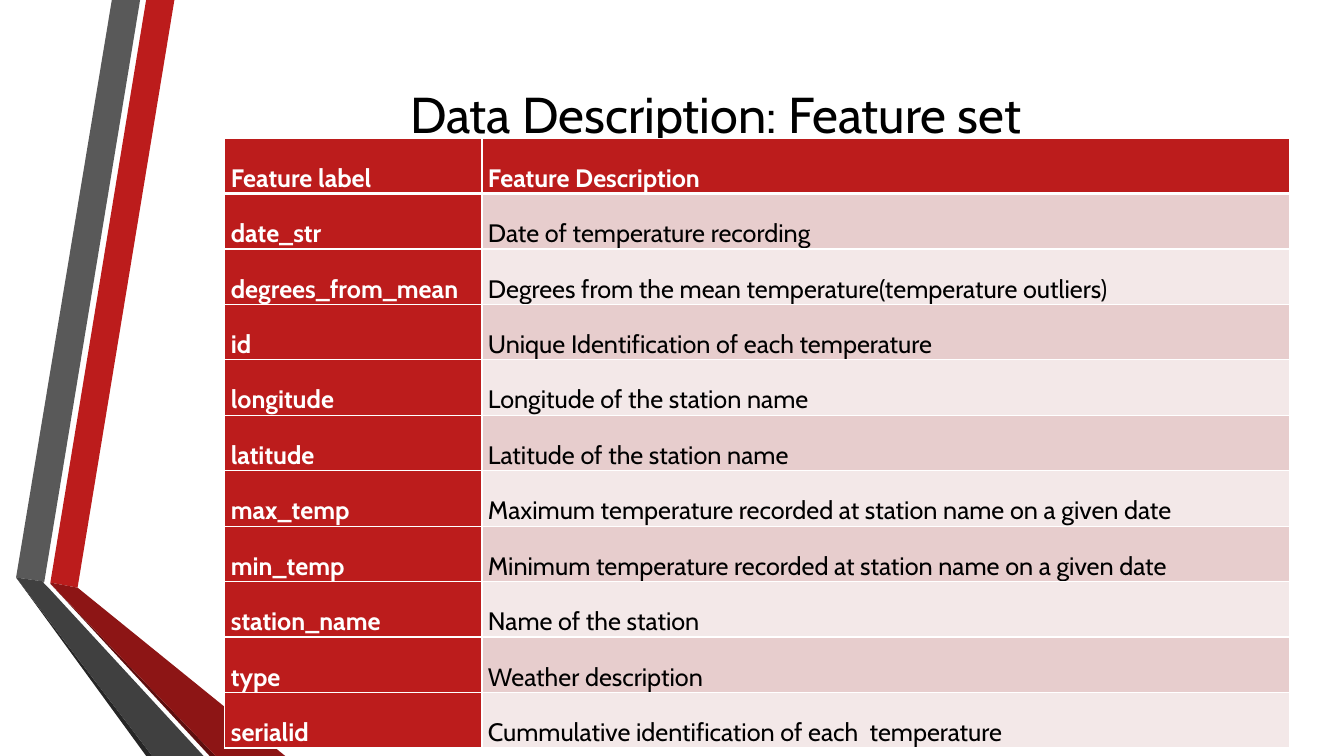
"""Build the feature set slide: a table of data fields beside folded ribbons."""
from lxml import etree
from pptx import Presentation
from pptx.dml.color import RGBColor
from pptx.enum.text import MSO_ANCHOR, PP_ALIGN
from pptx.oxml.ns import qn
from pptx.util import Pt

PX = 9144
FONT = "Cabin"
MIDDLE, BOTTOM = MSO_ANCHOR.MIDDLE, MSO_ANCHOR.BOTTOM
CENTER, LEFT = PP_ALIGN.CENTER, PP_ALIGN.LEFT
COLORS = {
    "red": "BC1C1C", "dark red": "8D1515", "deep red": "5E0E0E",
    "gray": "595959", "dark gray": "404040", "deep gray": "262626",
    "odd row": "E7CDCD", "even row": "F3E8E8",
    "white": "FFFFFF", "black": "000000",
}
RIBBONS = [
    ("red", [(50, 578), (77, 583), (173, 0), (145, 0)]),
    ("gray", [(139, 0), (111, 0), (16, 573), (44, 577)]),
    ("deep gray", [(16, 573), (145, 750), (151, 750)]),
    ("deep red", [(50, 579), (208, 750), (214, 750)]),
    ("dark red", [(50, 579), (214, 750), (283, 750), (77, 583), (50, 578)]),
    ("dark gray", [(202, 750), (48, 583), (43, 578), (44, 577), (16, 573), (151, 750)]),
]
FEATURES = [
    ("Feature label", "Feature Description"),
    ("date_str", "Date of temperature recording"),
    ("degrees_from_mean", "Degrees from the mean temperature(temperature outliers)"),
    ("id", "Unique Identification of each temperature"),
    ("longitude", "Longitude of the station name"),
    ("latitude", "Latitude of the station name"),
    ("max_temp", "Maximum temperature recorded at station name on a given date"),
    ("min_temp", "Minimum temperature recorded at station name on a given date"),
    ("station_name", "Name of the station"),
    ("type", "Weather description"),
    ("serialid", "Cummulative identification of each  temperature"),
]
COLUMN_WIDTHS = [255, 801]
ROW_HEIGHT = 55
CELL_FORMAT = {
    "vertical_anchor": BOTTOM,
    "margin_left": 6 * PX, "margin_right": 6 * PX,
    "margin_top": 0, "margin_bottom": 0,
}
TITLE_FORMAT = {"word_wrap": True, "vertical_anchor": MIDDLE}


def write(paragraph, text, size, color, bold, align):
    paragraph.alignment = align
    run = paragraph.add_run()
    run.text = text
    for key, value in {"name": FONT, "size": Pt(size), "bold": bold}.items():
        setattr(run.font, key, value)
    run.font.color.rgb = RGBColor.from_string(COLORS[color])


def add_border(cell, side, points):
    line = etree.SubElement(cell._tc.get_or_add_tcPr(), qn(f"a:ln{side}"), w=str(Pt(points)))
    fill = etree.SubElement(line, qn("a:solidFill"))
    etree.SubElement(fill, qn("a:srgbClr"), val=COLORS["white"])


deck = Presentation()
deck.slide_width, deck.slide_height = 1333 * PX, 750 * PX
slide = deck.slides.add_slide(deck.slide_layouts[6])

for color, points in RIBBONS:
    outline = slide.shapes.build_freeform(*points[0], scale=PX)
    outline.add_line_segments(points[1:], close=True)
    ribbon = outline.convert_to_shape()
    ribbon.shadow.inherit = False
    ribbon.fill.solid()
    ribbon.fill.fore_color.rgb = RGBColor.from_string(COLORS[color])
    ribbon.line.fill.background()

title = slide.shapes.add_textbox(162 * PX, 75 * PX, 1096 * PX, 74 * PX).text_frame
for key, value in TITLE_FORMAT.items():
    setattr(title, key, value)
write(title.paragraphs[0], "Data Description: Feature set", 36, "black", False, CENTER)

feature_table = slide.shapes.add_table(
    len(FEATURES), len(COLUMN_WIDTHS), 223 * PX, 137 * PX,
    sum(COLUMN_WIDTHS) * PX, len(FEATURES) * ROW_HEIGHT * PX).table
for column, width in zip(feature_table.columns, COLUMN_WIDTHS):
    column.width = width * PX

for row, feature in enumerate(FEATURES):
    feature_table.rows[row].height = ROW_HEIGHT * PX
    for column, text in enumerate(feature):
        cell = feature_table.cell(row, column)
        for key, value in CELL_FORMAT.items():
            setattr(cell, key, value)
        is_heading = row == 0 or column == 0
        band = "odd row" if row % 2 else "even row"
        for side in "LRTB":
            under_header = (row, side) in [(0, "B"), (1, "T")]
            add_border(cell, side, 3 if under_header else 1)
        cell.fill.solid()
        cell.fill.fore_color.rgb = RGBColor.from_string(COLORS["red" if is_heading else band])
        paragraph = cell.text_frame.paragraphs[0]
        paragraph.line_spacing = 1.07
        write(paragraph, text, 18, "white" if is_heading else "black", is_heading, LEFT)

deck.save("out.pptx")
